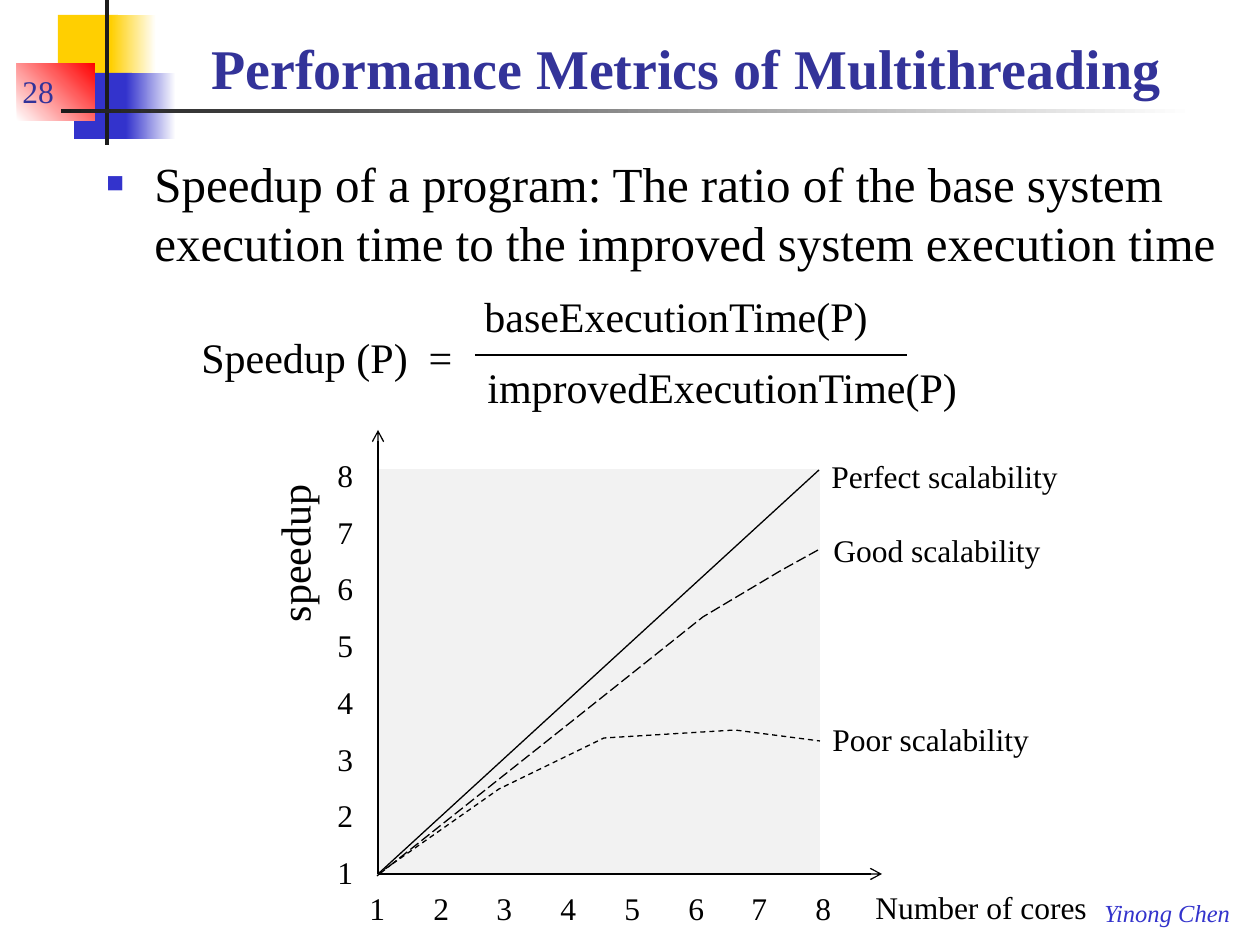
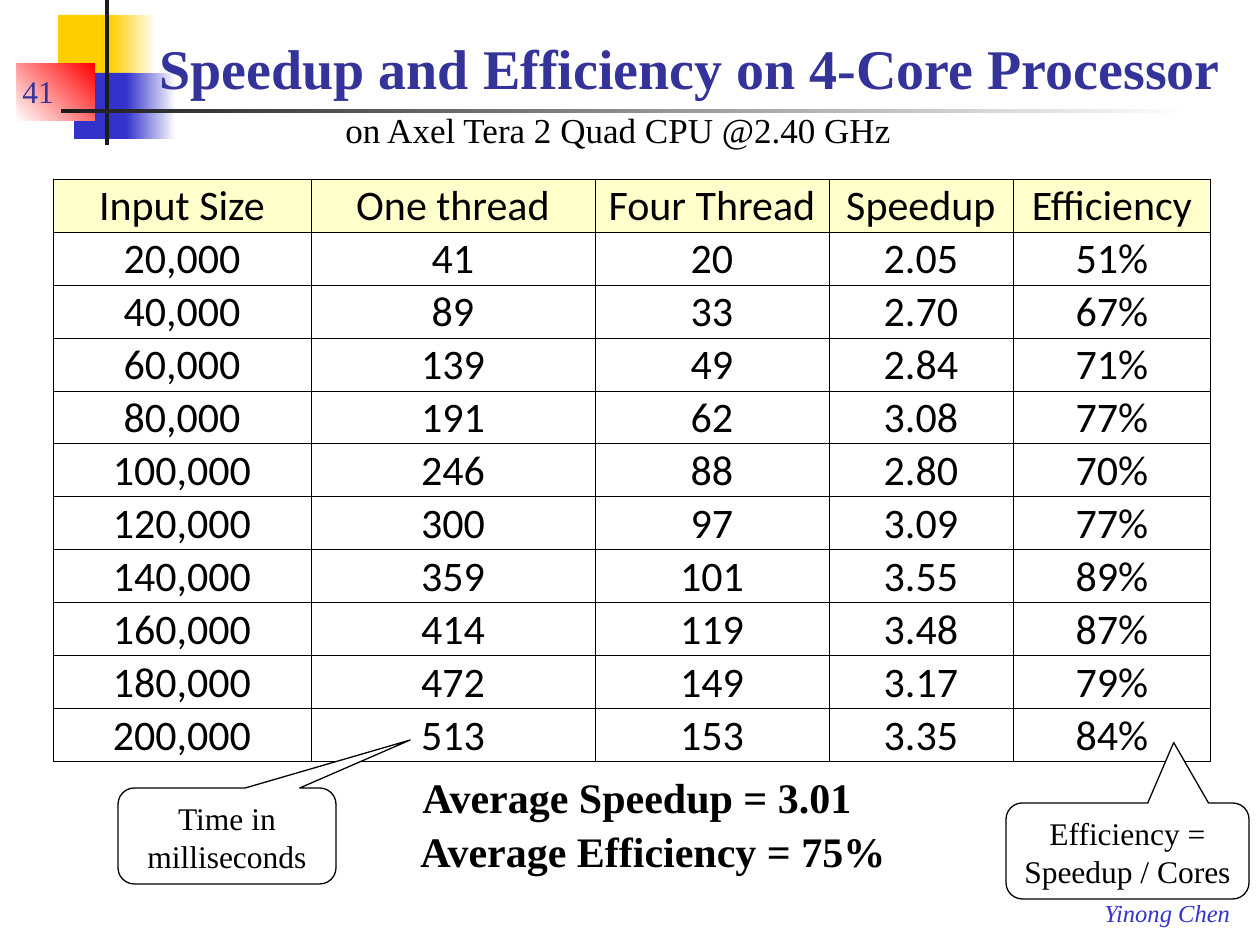
import pptx
import pptx.util
import pptx.dml.color
import pptx.enum.dml
import pptx.enum.shapes
import pptx.enum.text
import pptx.oxml.ns
from lxml import etree

PX = 914400 / 126
SERIF = "Times New Roman"
SANS = "Calibri"
COLORS = {
    "black": "000000", "white": "FFFFFF", "ink": "1C1C1C", "title": "333399",
    "blue": "3333CC", "yellow": "FFCF01", "red": "FF0000",
    "plot": "F2F2F2", "header": "FFFFCC",
}
SHAPES = pptx.enum.shapes.MSO_SHAPE
ANCHORS = pptx.enum.text.MSO_ANCHOR
DASHES = pptx.enum.dml.MSO_LINE

DECORATIONS = [
    ((58, 15, 60, 66), ("yellow",), 0),
    ((111, 15, 45, 66), ("yellow", "white"), 0),
    ((74, 73, 58, 66), ("blue",), 0),
    ((126, 73, 50, 66), ("blue", "white"), 0),
    ((17, 63, 78, 58), ("white", "red"), 45),
    ((105, 0, 4, 145), ("ink",), 0),
    ((61, 109, 1134, 4), ("ink", "white"), 0),
]
AUTHOR = "Yinong Chen"

DEFINITION = ("Speedup of a program: The ratio of the base system "
              "execution time to the improved system execution time")
FORMULA = [
    ("baseExecutionTime(P)", (472, 284, 412, 63)),
    ("Speedup (P)  =", (189, 325, 290, 63)),
    ("improvedExecutionTime(P)", (475, 355, 499, 63)),
]
FRACTION_BAR = ((475, 355), (907, 355))
PLOT = (378, 470, 441, 404)
ORIGIN = (378, 874)
CORES = range(1, 9)
LAST_TICK_OFFSET = 446
CURVES = [
    ([(377, 876), (585, 711), (703, 617), (782, 570), (820, 549)], DASHES.LONG_DASH),
    ([(378, 874), (499, 789), (604, 738), (735, 730), (820, 741)], DASHES.DASH),
]
CHART_LABELS = [
    ("Number of cores", (863, 882, 239, 50)),
    ("Perfect scalability", (819, 451, 255, 50)),
    ("Good scalability", (821, 525, 234, 50)),
    ("Poor scalability", (820, 714, 224, 50)),
]

PROCESSOR = "on Axel Tera 2 Quad CPU @2.40 GHz"
TIMINGS = [
    ("Input Size", "One thread", "Four Thread", "Speedup", "Efficiency"),
    ("20,000", "41", "20", "2.05", "51%"),
    ("40,000", "89", "33", "2.70", "67%"),
    ("60,000", "139", "49", "2.84", "71%"),
    ("80,000", "191", "62", "3.08", "77%"),
    ("100,000", "246", "88", "2.80", "70%"),
    ("120,000", "300", "97", "3.09", "77%"),
    ("140,000", "359", "101", "3.55", "89%"),
    ("160,000", "414", "119", "3.48", "87%"),
    ("180,000", "472", "149", "3.17", "79%"),
    ("200,000", "513", "153", "3.35", "84%"),
]
COLUMN_WIDTHS = [258, 284, 234, 184, 198]
ROW_HEIGHT = 53
AVERAGES = [
    ("Average Speedup = 3.01", (410, 765, 459, 64)),
    ("Average Efficiency = 75%", (408, 819, 495, 64)),
]
CALLOUTS = [
    ("Time in milliseconds", (118, 788, 218, 96), (0.84, -1, 0.17)),
    ("Efficiency = Speedup / Cores", (1006, 803, 243, 96), (0.19, -1.13, 0.17)),
]


def emu(*lengths):
    return [round(length * PX) for length in lengths]


def rgb(name):
    return pptx.dml.color.RGBColor.from_string(COLORS[name])


def add_xml(parent, tag, **attributes):
    values = {key: str(value) for key, value in attributes.items()}
    return etree.SubElement(parent, pptx.oxml.ns.qn(tag), values)


def write(frame, text, size=18, color="black", font=SERIF, bold=False,
          italic=False, centered=False, spacing=None):
    frame.text = text
    for paragraph in frame.paragraphs:
        if centered:
            paragraph.alignment = pptx.enum.text.PP_ALIGN.CENTER
        if spacing:
            paragraph.line_spacing = spacing
        for run in paragraph.runs:
            run.font.size = pptx.util.Pt(size)
            run.font.name = font
            run.font.bold = bold
            run.font.italic = italic
            run.font.color.rgb = rgb(color)


def add_text(slide, text, box, wrap=False, anchor=ANCHORS.TOP, rotation=0, **style):
    shape = slide.shapes.add_textbox(*emu(*box))
    shape.rotation = rotation
    frame = shape.text_frame
    frame.word_wrap = wrap
    frame.vertical_anchor = anchor
    if not wrap:
        frame.auto_size = pptx.enum.text.MSO_AUTO_SIZE.SHAPE_TO_FIT_TEXT
    write(frame, text, **style)
    return shape


def add_block(slide, box, fills, angle=0, kind=SHAPES.RECTANGLE, outline=None):
    shape = slide.shapes.add_shape(kind, *emu(*box))
    shape.shadow.inherit = False
    if len(fills) == 1:
        shape.fill.solid()
        shape.fill.fore_color.rgb = rgb(fills[0])
    else:
        shape.fill.gradient()
        shape.fill.gradient_angle = angle
        for stop, name in zip(shape.fill.gradient_stops, fills):
            stop.color.rgb = rgb(name)
    if outline:
        draw_line(shape.line, outline)
    else:
        shape.line.fill.background()
    return shape


def draw_line(line, color="black"):
    line.color.rgb = rgb(color)
    line.width = pptx.util.Pt(0.75)


def add_line(slide, start, end, arrow=False):
    connector = slide.shapes.add_connector(
        pptx.enum.shapes.MSO_CONNECTOR.STRAIGHT, *emu(*start, *end))
    draw_line(connector.line)
    properties = connector._element.spPr
    add_xml(properties, "a:effectLst")
    if arrow:
        add_xml(properties.find(pptx.oxml.ns.qn("a:ln")), "a:tailEnd", type="arrow")


def add_curve(slide, points, dash):
    builder = slide.shapes.build_freeform(*points[0], scale=PX)
    builder.add_line_segments(points[1:], close=False)
    curve = builder.convert_to_shape()
    curve.shadow.inherit = False
    curve.fill.background()
    draw_line(curve.line)
    curve.line.dash_style = dash


def add_bullet(paragraph):
    paragraph.space_before = pptx.util.Pt(5.6)
    properties = paragraph._p.get_or_add_pPr()
    indent = emu(48)[0]
    properties.set("marL", str(indent))
    properties.set("indent", str(-indent))
    add_xml(add_xml(properties, "a:buClr"), "a:srgbClr", val=COLORS["blue"])
    add_xml(properties, "a:buSzPct", val=60000)
    add_xml(properties, "a:buFont", typeface=SERIF)
    add_xml(properties, "a:buChar", char="■")


def style_cell(cell, text, is_header):
    cell.margin_left, cell.margin_right, cell.margin_top, cell.margin_bottom = emu(1, 1, 1, 0)
    cell.vertical_anchor = ANCHORS.BOTTOM
    write(cell.text_frame, text, size=24, font=SANS, centered=True)
    properties = cell._tc.get_or_add_tcPr()
    for side in ("a:lnL", "a:lnR", "a:lnT", "a:lnB"):
        border = add_xml(properties, side, w=6350)
        add_xml(add_xml(border, "a:solidFill"), "a:srgbClr", val=COLORS["black"])
    if is_header:
        cell.fill.solid()
        cell.fill.fore_color.rgb = rgb("header")
    else:
        cell.fill.background()


def start_slide(presentation, title, title_left, title_width, number):
    slide = presentation.slides.add_slide(presentation.slide_layouts[6])
    for box, fills, angle in DECORATIONS:
        add_block(slide, box, fills, angle)
    add_text(slide, AUTHOR, (1092, 892, 151, 43), size=14, color="blue", italic=True)
    add_text(slide, title, (title_left, 21, title_width, 86), wrap=True,
             anchor=ANCHORS.BOTTOM, size=32, color="title", bold=True)
    add_text(slide, number, (10, 53, 107, 63), wrap=True,
             anchor=ANCHORS.BOTTOM, color="title")
    return slide


def build_metrics(presentation):
    slide = start_slide(presentation, "Performance Metrics of Multithreading", 199, 1050, "28")
    definition = add_text(slide, DEFINITION, (94, 147, 1140, 147), wrap=True, size=28)
    add_bullet(definition.text_frame.paragraphs[0])
    for text, box in FORMULA:
        add_text(slide, text, box, size=24)
    add_line(slide, *FRACTION_BAR)

    left, top, width, height = PLOT
    add_block(slide, PLOT, ("plot",), outline="plot")
    add_line(slide, ORIGIN, (left + width, top))
    add_line(slide, ORIGIN, (882, 874), arrow=True)
    add_line(slide, ORIGIN, (378, 430), arrow=True)
    for index, core in enumerate(CORES):
        offset = round(index * LAST_TICK_OFFSET / (len(CORES) - 1))
        add_text(slide, str(core), (357 + offset, 883, 42, 50))
    add_text(slide, "\n".join(map(str, reversed(CORES))), (325, 431, 42, 464), spacing=1.5)
    add_text(slide, "speedup", (212, 520, 165, 64), rotation=270, size=24)
    for points, dash in CURVES:
        add_curve(slide, points, dash)
    for text, box in CHART_LABELS:
        add_text(slide, text, box)


def build_timings(presentation):
    slide = start_slide(presentation, "Speedup and Efficiency on 4-Core Processor", 147, 1103, "41")
    for text, box in AVERAGES:
        add_text(slide, text, box, size=24, bold=True)
    table = slide.shapes.add_table(
        len(TIMINGS), len(COLUMN_WIDTHS),
        *emu(53, 179, sum(COLUMN_WIDTHS), ROW_HEIGHT * len(TIMINGS))).table
    for column, width in zip(table.columns, COLUMN_WIDTHS):
        column.width = emu(width)[0]
    for row_index, values in enumerate(TIMINGS):
        table.rows[row_index].height = emu(ROW_HEIGHT)[0]
        for column_index, value in enumerate(values):
            style_cell(table.cell(row_index, column_index), value, row_index == 0)
    add_text(slide, PROCESSOR, (333, 102, 620, 55), wrap=True, size=20)
    for text, box, adjustments in CALLOUTS:
        callout = add_block(slide, box, ("white",), outline="black",
                            kind=SHAPES.ROUNDED_RECTANGULAR_CALLOUT)
        for index, value in enumerate(adjustments):
            callout.adjustments[index] = value
        callout.text_frame.word_wrap = True
        callout.text_frame.vertical_anchor = ANCHORS.TOP
        write(callout.text_frame, text, centered=True)


def main():
    presentation = pptx.Presentation()
    presentation.slide_width, presentation.slide_height = emu(1260, 945)
    build_metrics(presentation)
    build_timings(presentation)
    presentation.save("out.pptx")


if __name__ == "__main__":
    main()
